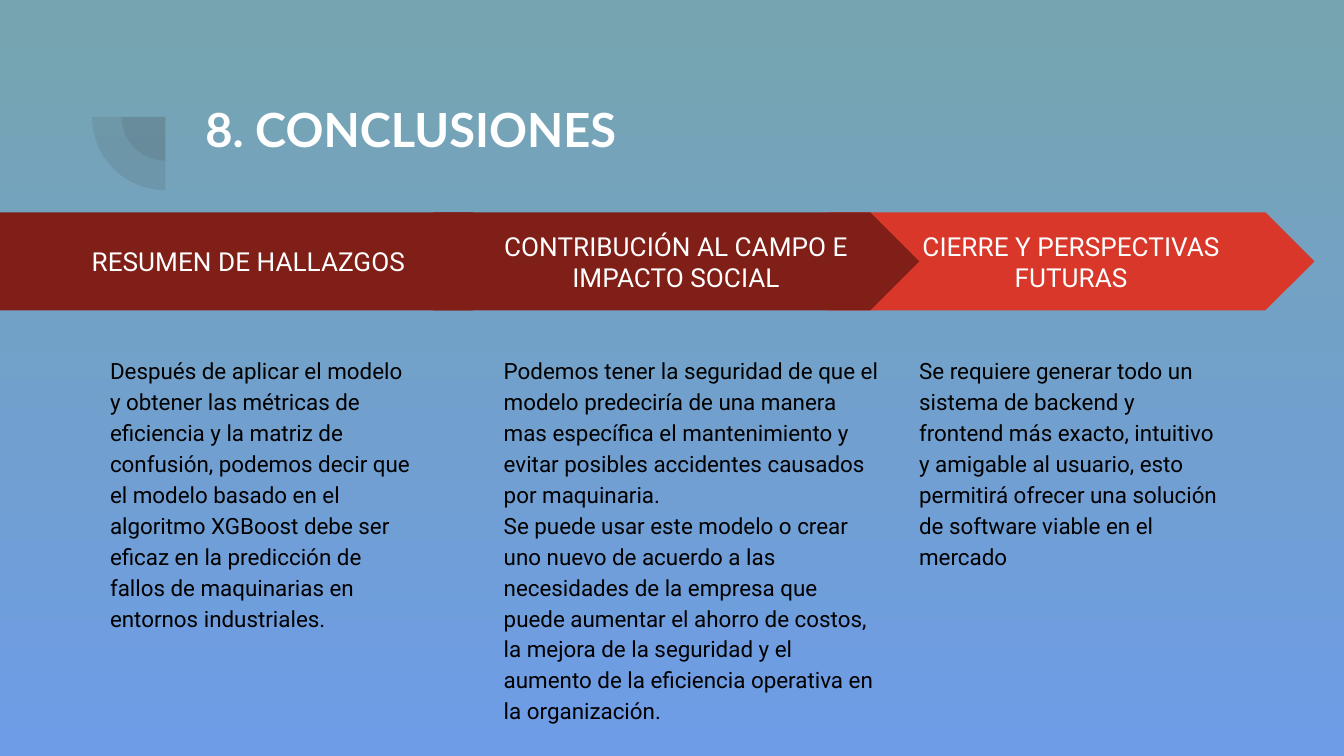
from lxml import etree
from pptx import Presentation
from pptx.dml.color import RGBColor
from pptx.enum.shapes import MSO_SHAPE
from pptx.enum.text import MSO_ANCHOR, PP_ALIGN
from pptx.oxml.ns import qn
from pptx.util import Inches, Pt

PIE, PLATE, CHEVRON = MSO_SHAPE.PIE, MSO_SHAPE.PENTAGON, MSO_SHAPE.CHEVRON
TOP, MIDDLE = MSO_ANCHOR.TOP, MSO_ANCHOR.MIDDLE
LEFT, CENTER = PP_ALIGN.LEFT, PP_ALIGN.CENTER

THEME = {
    "sky": ("76A5AF", "6E9CE7"),
    "dark": "801F17",
    "bright": "D83729",
    "ornament": "424242",
    "title": {"name": "Lato", "size": 25.2, "bold": True, "color": "FFFFFF"},
    "heading": {"name": "Roboto", "size": 14, "color": "FFFFFF"},
    "body": {"name": "Roboto", "size": 12, "color": "000000"},
}

TITLE = "8. CONCLUSIONES"

# Back to front: each arrow (left, width) covers the tail of the one before it
CONCLUSIONS = [
    {"heading": "CIERRE Y PERSPECTIVAS FUTURAS",
     "arrow": (CHEVRON, 6.16, 3.62, "bright"), "column": (6.74, 2.45),
     "body": ["Se requiere generar todo un sistema de backend y frontend más exacto, "
              "intuitivo y amigable al usuario, esto permitirá ofrecer una solución de "
              "software viable en el mercado"]},
    {"heading": "RESUMEN DE HALLAZGOS",
     "arrow": (PLATE, 0, 3.88, "dark"), "column": (0.72, 2.45),
     "body": ["Después de aplicar el modelo y obtener las métricas de eficiencia y la "
              "matriz de confusión, podemos decir que el modelo basado en el algoritmo "
              "XGBoost debe ser eficaz en la predicción de fallos de maquinarias en "
              "entornos industriales."]},
    {"heading": "CONTRIBUCIÓN AL CAMPO E IMPACTO SOCIAL",
     "arrow": (CHEVRON, 3.22, 3.62, "dark"), "column": (3.65, 3),
     "body": ["Podemos tener la seguridad de que el modelo predeciría de una manera mas "
              "específica el mantenimiento y evitar posibles accidentes causados por "
              "maquinaria.",
              "Se puede usar este modelo o crear uno nuevo de acuerdo a las necesidades "
              "de la empresa que puede aumentar el ahorro de costos, la mejora de la "
              "seguridad y el aumento de la eficiencia operativa en la organización."]},
]

ARROW_TOP, ARROW_HEIGHT = 1.58, 0.73
BODY_TOP, BODY_HEIGHT = 2.53, 2.86
ORNAMENT_CENTER, ORNAMENT_SIZES = (1.23, 0.87), (0.65, 1.09)


def write(shape, paragraphs, style, anchor=TOP, align=LEFT, spacing=1.0):
    frame = shape.text_frame
    frame.word_wrap = True
    frame.vertical_anchor = anchor
    for side in ("left", "top", "right", "bottom"):
        setattr(frame, f"margin_{side}", Inches(0.1))
    frame.text = "\n".join(paragraphs)
    values = dict(THEME[style])
    color = RGBColor.from_string(values.pop("color"))
    values["size"] = Pt(values["size"])
    for paragraph in frame.paragraphs:
        paragraph.alignment = align
        paragraph.line_spacing = spacing
        font = paragraph.runs[0].font
        font.color.rgb = color
        for key, value in values.items():
            setattr(font, key, value)


def add_filled(slide, kind, box, color):
    shape = slide.shapes.add_shape(kind, *map(Inches, box))
    shape.shadow.inherit = False
    shape.fill.solid()
    shape.fill.fore_color.rgb = RGBColor.from_string(THEME[color])
    shape.line.fill.background()
    return shape


def add_text(slide, box, paragraphs, style, **layout):
    write(slide.shapes.add_textbox(*map(Inches, box)), paragraphs, style, **layout)


def main():
    prs = Presentation()
    # Widescreen, 16:9
    prs.slide_width, prs.slide_height = Inches(10), Inches(10 * 9 / 16)
    slide = prs.slides.add_slide(prs.slide_layouts[6])

    # Background gradient, top to bottom
    sky = slide.background.fill
    sky.gradient()
    sky.gradient_angle = 270
    for position, (stop, color) in enumerate(zip(sky.gradient_stops, THEME["sky"])):
        stop.position = position
        stop.color.rgb = RGBColor.from_string(color)

    # Concentric quarter circles beside the title
    center_x, center_y = ORNAMENT_CENTER
    for size in ORNAMENT_SIZES:
        box = (center_x - size / 2, center_y - size / 2, size, size)
        quarter = add_filled(slide, PIE, box, "ornament")
        quarter.adjustments[0], quarter.adjustments[1] = 108, 162
        quarter.rotation = 270
        tint = quarter.fill._xPr.find(".//" + qn("a:srgbClr"))
        etree.SubElement(tint, qn("a:alpha"), val="13000")

    add_text(slide, (1.43, 0.65, 7.69, 0.59), [TITLE], "title")

    # Arrow headings with their columns of text
    for item in CONCLUSIONS:
        kind, left, width, color = item["arrow"]
        arrow = add_filled(slide, kind, (left, ARROW_TOP, width, ARROW_HEIGHT), color)
        arrow.adjustments[0] = 0.5
        write(arrow, [item["heading"]], "heading", anchor=MIDDLE, align=CENTER)
        left, width = item["column"]
        add_text(slide, (left, BODY_TOP, width, BODY_HEIGHT), item["body"], "body",
                 spacing=1.15)

    prs.save("out.pptx")


if __name__ == "__main__":
    main()
